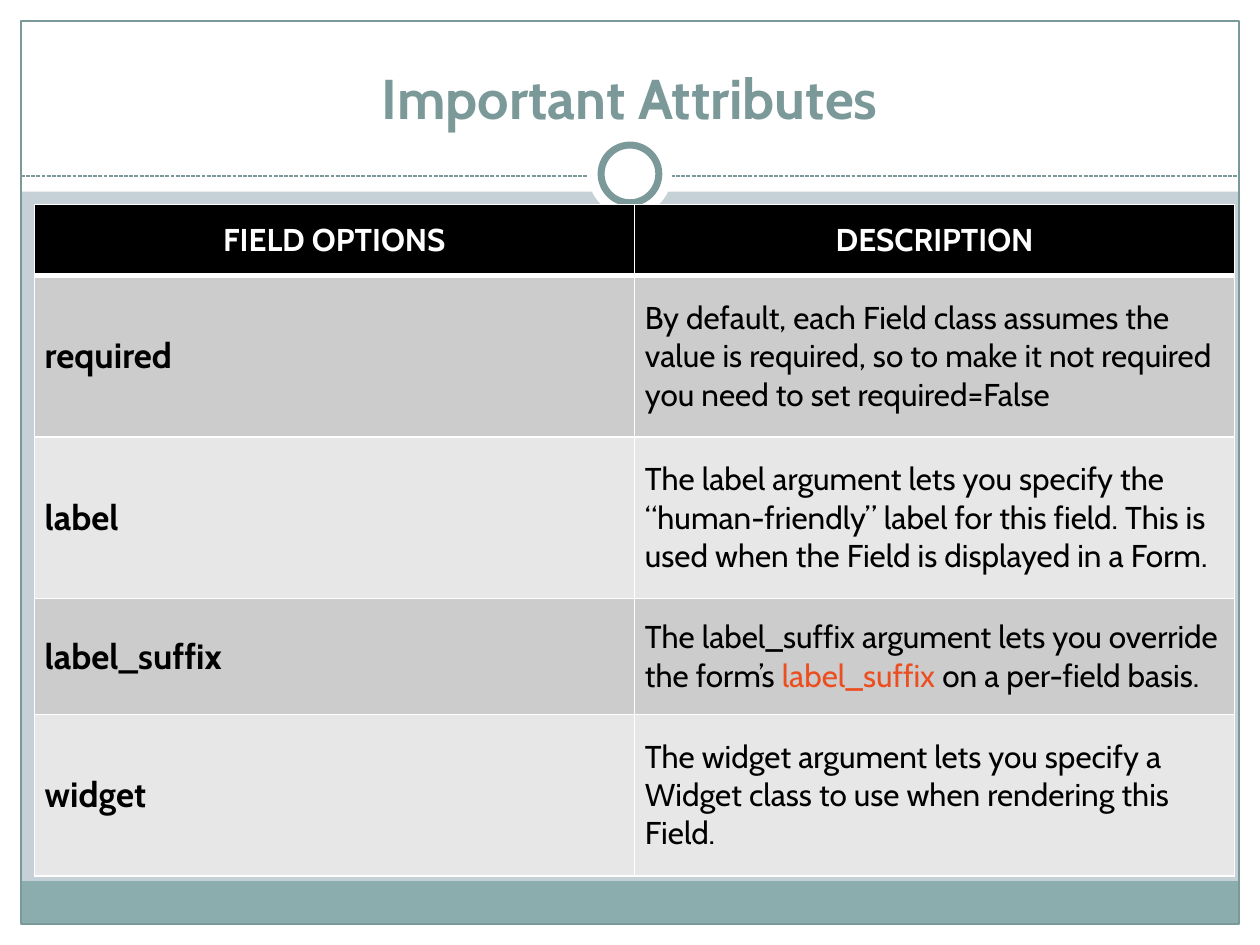
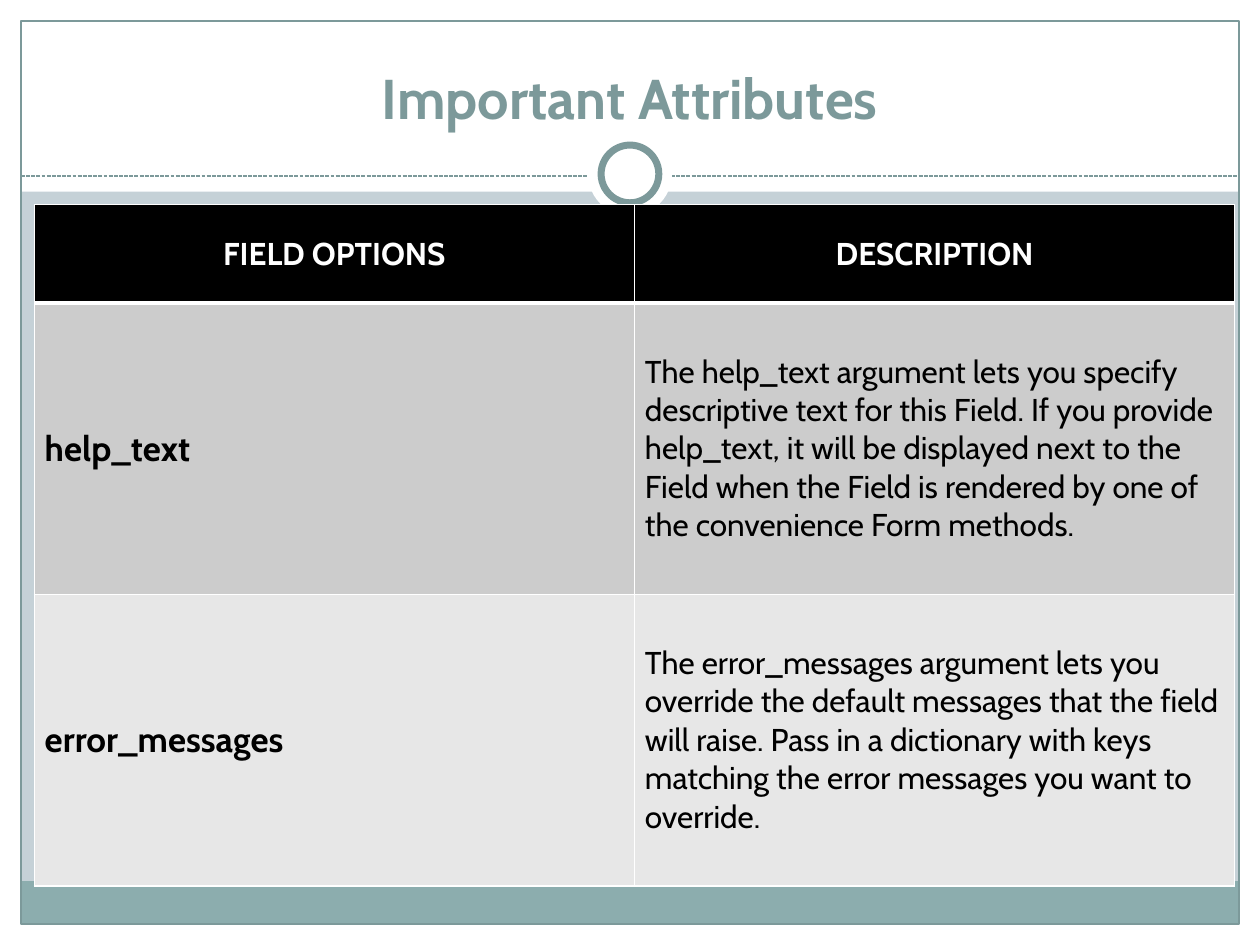
from collections import namedtuple
from dataclasses import dataclass

from lxml import etree
from pptx import Presentation
from pptx import util as u
from pptx.dml.color import RGBColor
from pptx.enum import dml, shapes, text
from pptx.oxml.ns import qn

Box = namedtuple("Box", "left top width height")


@dataclass(frozen=True)
class Theme:
    font: str = "Cabin"
    page: str = "C5D1D7"
    white: str = "FFFFFF"
    black: str = "000000"
    teal: str = "7C999A"
    footer: str = "8CADAE"
    accent: str = "EC4E20"
    rows: tuple = ("CCCCCC", "E7E7E7")
    title_size: int = 32
    option_size: int = 20
    body_size: int = 18


THEME = Theme()
PAGE = Box(0, 0, 720, 540)
MARGIN = 12
CELL_INSET = 6
TABLE_LEFT, TABLE_TOP, TABLE_WIDTH = 19.6, 116.9, 686
HEADINGS = ("FIELD OPTIONS", "DESCRIPTION")
TITLE = "Important Attributes"

# Each table: header height, then (height, option, description spans);
# every second span of a description is highlighted.
TABLES = [
    (40.6, [
        (92.3, "required",
         ["By default, each Field class assumes the value is required, "
          "so to make it not required you need to set required=False"]),
        (92.3, "label",
         ["The label argument lets you specify the “human-friendly” label "
          "for this field. This is used when the Field is displayed in a Form."]),
        (66.2, "label_suffix",
         ["The label_suffix argument lets you override the form’s ",
          "label_suffix", " on a per-field basis."]),
        (92.3, "widget",
         ["The widget argument lets you specify a Widget class to use "
          "when rendering this Field."]),
    ]),
    (56.3, [
        (166.5, "help_text",
         ["The help_text argument lets you specify descriptive text for this "
          "Field. If you provide help_text, it will be displayed next to the "
          "Field when the Field is rendered by one of the convenience Form "
          "methods."]),
        (166.5, "error_messages",
         ["The error_messages argument lets you override the default messages "
          "that the field will raise. Pass in a dictionary with keys matching "
          "the error messages you want to override."]),
    ]),
]


def color(value):
    return RGBColor.from_string(value)


def points(box):
    return [u.Pt(length) for length in box]


def add_shape(page, kind, box, fill=None, line=None, weight=0.75):
    shape = page.shapes.add_shape(kind, *points(box))
    shape.shadow.inherit = False
    if fill:
        shape.fill.solid()
        shape.fill.fore_color.rgb = color(fill)
    else:
        shape.fill.background()
    if line:
        shape.line.color.rgb = color(line)
        shape.line.width = u.Pt(weight)
    else:
        shape.line.fill.background()


def write(para, spans, size, ink, bold=False, align=text.PP_ALIGN.LEFT):
    para.alignment = align
    para.font.name = THEME.font
    para.font.size = u.Pt(size)
    para.font.bold = bold
    para.font.color.rgb = color(ink)
    for index, words in enumerate(spans):
        span = para.add_run()
        span.text = words
        if index % 2:
            span.font.color.rgb = color(THEME.accent)


def add_frame(page, box):
    """Background, white margins, footer band and outline."""
    page.background.fill.solid()
    page.background.fill.fore_color.rgb = color(THEME.page)
    left, top, width, height = box
    rectangle = shapes.MSO_SHAPE.RECTANGLE
    right, bottom = left + width, top + height
    inner_width = width - 2 * MARGIN

    for band in (
        Box(left, bottom - MARGIN, width, MARGIN),
        Box(left, top, width, 109.5),
        Box(left, top, MARGIN, height),
        Box(right - MARGIN, top, MARGIN, height),
    ):
        add_shape(page, rectangle, band, fill=THEME.white)
    add_shape(page, rectangle,
              Box(left + MARGIN, bottom - MARGIN - 24.5, inner_width, 24.5),
              fill=THEME.footer)
    add_shape(page, rectangle,
              Box(left + MARGIN, top + MARGIN, inner_width, height - 2 * MARGIN),
              line=THEME.teal)


def add_title(page, box):
    """Title above a dashed rule with a ring at its centre."""
    left, top, width, height = box
    middle, rule_y, ring_y = left + width / 2, top + 100.6, top + 99.4

    rule = page.shapes.add_connector(
        shapes.MSO_CONNECTOR.STRAIGHT,
        *points((left + MARGIN, rule_y, left + width - MARGIN, rule_y)))
    rule.line.color.rgb = color(THEME.teal)
    rule.line.width = u.Pt(0.75)
    rule.line.dash_style = dml.MSO_LINE.SQUARE_DOT
    etree.SubElement(rule._element.spPr, qn("a:effectLst"))

    for size, outline in ((48, None), (33, THEME.teal)):
        add_shape(page, shapes.MSO_SHAPE.OVAL,
                  Box(middle - size / 2, ring_y - size / 2, size, size),
                  fill=THEME.white, line=outline, weight=4)

    title = page.shapes.add_textbox(
        *points((left + 24, top + 18, width - 48, 60)))
    frame = title.text_frame
    frame.word_wrap = True
    frame.vertical_anchor = text.MSO_ANCHOR.BOTTOM
    write(frame.paragraphs[0], [TITLE], THEME.title_size, THEME.teal,
          bold=True, align=text.PP_ALIGN.CENTER)


def set_borders(cell, top, bottom):
    """White cell borders; top and bottom are weights in points."""
    properties = cell._tc.get_or_add_tcPr()
    weights = {"lnL": 1, "lnR": 1, "lnT": top, "lnB": bottom}
    for index, (side, weight) in enumerate(weights.items()):
        line = etree.Element(qn(f"a:{side}"), w=str(u.Pt(weight)))
        fill = etree.SubElement(line, qn("a:solidFill"))
        etree.SubElement(fill, qn("a:srgbClr"), val=THEME.white)
        properties.insert(index, line)


def format_cell(cell, fill, top=1, bottom=1):
    cell.fill.solid()
    cell.fill.fore_color.rgb = color(fill)
    cell.vertical_anchor = text.MSO_ANCHOR.MIDDLE
    cell.margin_left = cell.margin_right = u.Pt(CELL_INSET)
    cell.margin_top = cell.margin_bottom = u.Pt(CELL_INSET)
    set_borders(cell, top, bottom)


def add_options_table(page, box, header_height, options):
    table = page.shapes.add_table(len(options) + 1, len(HEADINGS),
                                  *points(box)).table
    for column in table.columns:
        column.width = u.Pt(box.width / len(HEADINGS))

    # Header row
    table.rows[0].height = u.Pt(header_height)
    for cell, heading in zip(table.rows[0].cells, HEADINGS):
        format_cell(cell, THEME.black, bottom=3)
        write(cell.text_frame.paragraphs[0], [heading], THEME.body_size,
              THEME.white, bold=True, align=text.PP_ALIGN.CENTER)

    # Option rows
    for number, (height, option, description) in enumerate(options, 1):
        row = table.rows[number]
        row.height = u.Pt(height)
        for cell in row.cells:
            format_cell(cell, THEME.rows[(number - 1) % 2],
                        top=3 if number == 1 else 1)
        name, detail = (cell.text_frame.paragraphs[0] for cell in row.cells)
        write(name, [option], THEME.option_size, THEME.black, bold=True)
        write(detail, description, THEME.body_size, THEME.black)


def main():
    deck = Presentation()
    deck.slide_width, deck.slide_height = u.Pt(PAGE.width), u.Pt(PAGE.height)
    for header_height, options in TABLES:
        page = deck.slides.add_slide(deck.slide_layouts[6])
        add_frame(page, PAGE)
        add_title(page, PAGE)
        table_height = header_height + sum(height for height, *_ in options)
        add_options_table(
            page, Box(TABLE_LEFT, TABLE_TOP, TABLE_WIDTH, table_height),
            header_height, options)
    deck.save("out.pptx")


if __name__ == "__main__":
    main()
